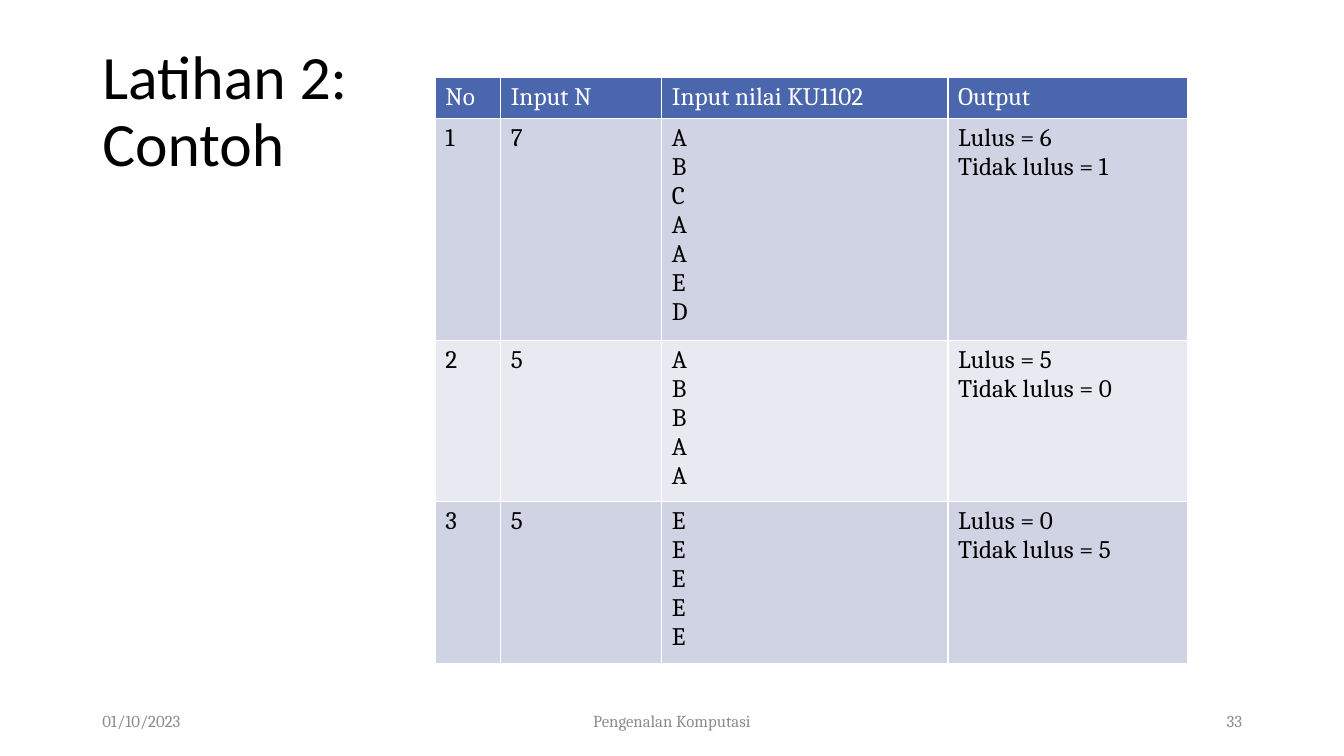
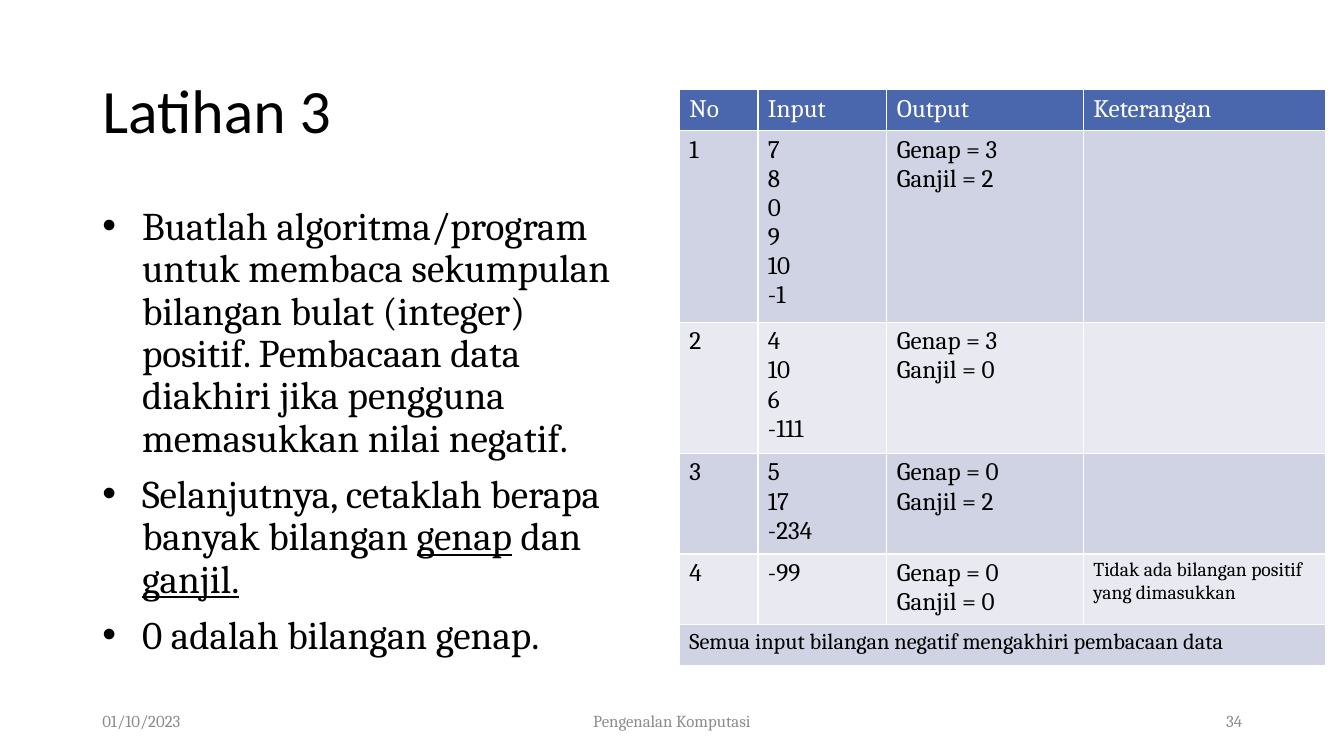
from lxml import etree
from pptx import Presentation
from pptx import util as u
from pptx.dml import color
from pptx.enum import text
from pptx.oxml import ns

BLACK, WHITE, GREY = "000000", "FFFFFF", "8C8C8C"
HEADER, BANDS = "4A66AC", ("D0D3E3", "E9EAF1")
TITLE_FONT, BODY_FONT = "Calibri", "Cambria"
MARGIN = 2.33
LINE_HEIGHT, CELL_PADDING, MIN_ROW = 0.73, 0.26, 1.03
ALIGN = text.PP_ALIGN


def rgb(value):
    return color.RGBColor.from_string(value)


def style(para, size, font=BODY_FONT, ink=BLACK):
    for span in para.runs:
        span.font.size = u.Pt(size)
        span.font.name = font
        span.font.bold = False
        span.font.color.rgb = rgb(ink)


def add_box(page, left, top, width, height, anchor=text.MSO_ANCHOR.MIDDLE):
    box = page.shapes.add_textbox(u.Cm(left), u.Cm(top), u.Cm(width), u.Cm(height))
    frame = box.text_frame
    frame.word_wrap = True
    frame.vertical_anchor = anchor
    return frame


def add_title(page, title):
    para = add_box(page, MARGIN, 1.01, 29.21, 3.68).paragraphs[0]
    para.text = title
    para.line_spacing = 0.9
    style(para, 44, TITLE_FONT)


def add_footer(page, number):
    parts = (
        ("01/10/2023", MARGIN, 7.62, ALIGN.LEFT),
        ("Pengenalan Komputasi", 11.22, 11.43, ALIGN.CENTER),
        (str(number), 23.93, 7.62, ALIGN.RIGHT),
    )
    for words, left, width, align in parts:
        para = add_box(page, left, 17.65, width, 1.02).paragraphs[0]
        para.text = words
        para.alignment = align
        style(para, 12, ink=GREY)


def set_bullet(para):
    props = para._p.get_or_add_pPr()
    props.set("marL", str(u.Cm(1)))
    props.set("indent", str(-u.Cm(1)))
    etree.SubElement(props, ns.qn("a:buFont"), typeface="Arial")
    etree.SubElement(props, ns.qn("a:buChar"), char="•")


def add_bullets(page, items):
    """Each item is a list of (words, underlined) pairs."""
    frame = add_box(page, MARGIN, 5.08, 13.89, 12.1, text.MSO_ANCHOR.TOP)
    for index, item in enumerate(items):
        para = frame.add_paragraph() if index else frame.paragraphs[0]
        set_bullet(para)
        para.line_spacing = 0.9
        if index:
            para.space_before = u.Pt(10)
        for words, underlined in item:
            span = para.add_run()
            span.text = words
            span.font.underline = underlined
        style(para, 28)


def fill_cell(cell, words, fill, ink, size):
    cell.fill.solid()
    cell.fill.fore_color.rgb = rgb(fill)
    cell.text_frame.text = words
    for para in cell.text_frame.paragraphs:
        style(para, size, ink=ink)


def add_table(page, left, top, widths, rows, sizes=None):
    """The first row is the header; sizes maps (row, column) to a font size."""
    sizes = sizes or {}
    # Row height follows the longest list in the row; wrapped notes fit in it
    heights = [
        max(MIN_ROW, CELL_PADDING + LINE_HEIGHT * max(cell.count("\n") + 1 for cell in row))
        for row in rows
    ]
    table = page.shapes.add_table(
        len(rows), len(widths), u.Cm(left), u.Cm(top),
        u.Cm(sum(widths)), u.Cm(sum(heights))).table
    for column, width in zip(table.columns, widths):
        column.width = u.Cm(width)
    for r, row in enumerate(rows):
        table.rows[r].height = u.Cm(heights[r])
        fill, ink = (BANDS[(r - 1) % 2], BLACK) if r else (HEADER, WHITE)
        for c, words in enumerate(row):
            fill_cell(table.cell(r, c), words, fill, ink, sizes.get((r, c), 18))
        # A short row spans the full width
        if len(row) < len(widths):
            table.cell(r, 0).merge(table.cell(r, len(widths) - 1))


def add_page(deck, title, number):
    page = deck.slides.add_slide(deck.slide_layouts[6])
    add_title(page, title)
    add_footer(page, number)
    return page


def lines(words):
    return "\n".join(words.split())


def passed(yes, no):
    return f"Lulus = {yes}\nTidak lulus = {no}"


def parity(even, odd):
    return f"Genap = {even}\nGanjil = {odd}"


def main():
    deck = Presentation()
    deck.slide_width, deck.slide_height = u.Cm(33.87), u.Cm(19.05)

    # Exercise 2: sample grades
    page = add_page(deck, "Latihan 2:\vContoh", 33)
    add_table(page, 10.97, 1.96, (1.65, 4.06, 7.21, 6.05), [
        ("No", "Input N", "Input nilai KU1102", "Output"),
        ("1", "7", lines("A B C A A E D"), passed(6, 1)),
        ("2", "5", lines("A B B A A"), passed(5, 0)),
        ("3", "5", lines("E E E E E"), passed(0, 5)),
    ])

    # Exercise 3: even and odd numbers
    page = add_page(deck, "Latihan 3", 34)
    add_bullets(page, [
        [("Buatlah algoritma/program untuk membaca sekumpulan bilangan bulat "
          "(integer) positif. Pembacaan data diakhiri jika pengguna memasukkan "
          "nilai negatif.", False)],
        [("Selanjutnya, cetaklah berapa banyak bilangan ", False), ("genap", True),
         (" dan ", False), ("ganjil.", True)],
        [("0 adalah bilangan genap.", False)],
    ])
    add_table(page, 17.12, 2.26, (1.98, 3.25, 4.95, 6.1), [
        ("No", "Input", "Output", "Keterangan"),
        ("1", lines("7 8 0 9 10 -1"), parity(3, 2), ""),
        ("2", lines("4 10 6 -111"), parity(3, 0), ""),
        ("3", lines("5 17 -234"), parity(0, 2), ""),
        ("4", "-99", parity(0, 0), "Tidak ada bilangan positif yang dimasukkan"),
        ("Semua input bilangan negatif mengakhiri pembacaan data",),
    ], sizes={(4, 3): 14, (5, 0): 16})

    deck.save("out.pptx")


if __name__ == "__main__":
    main()
